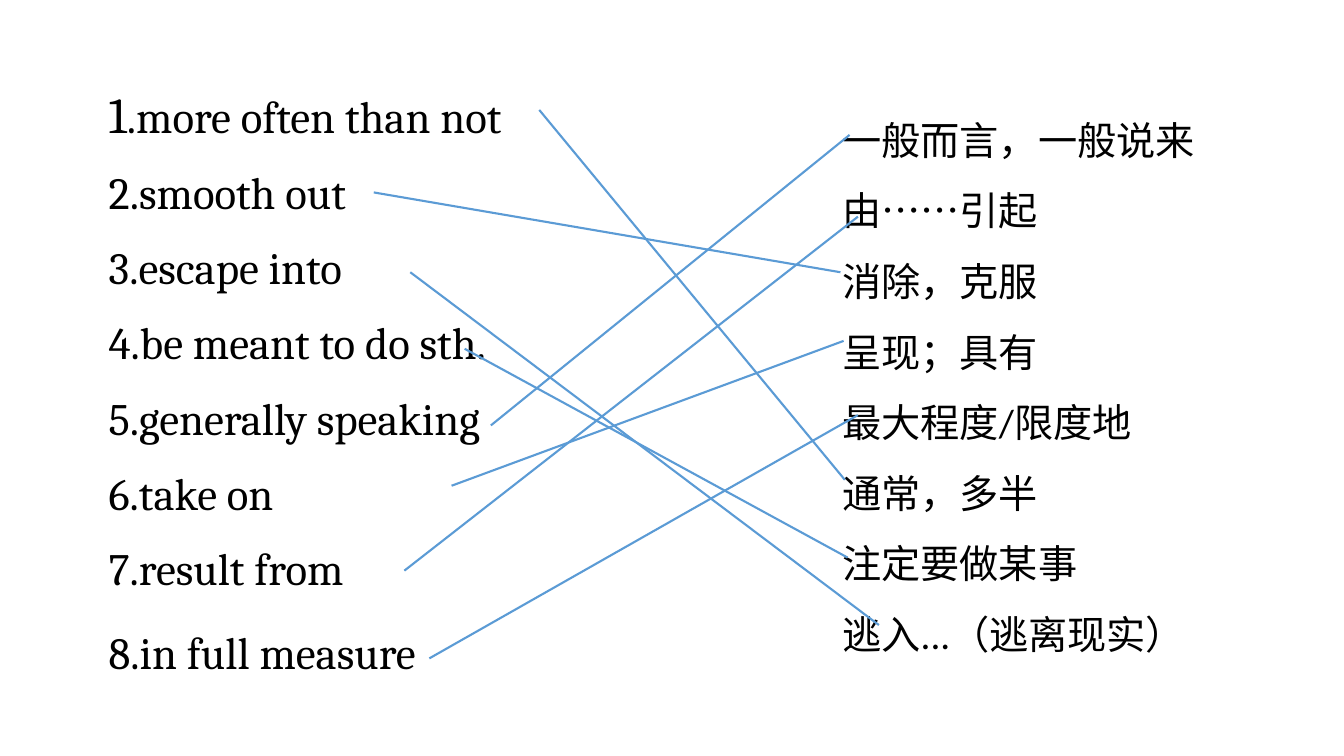
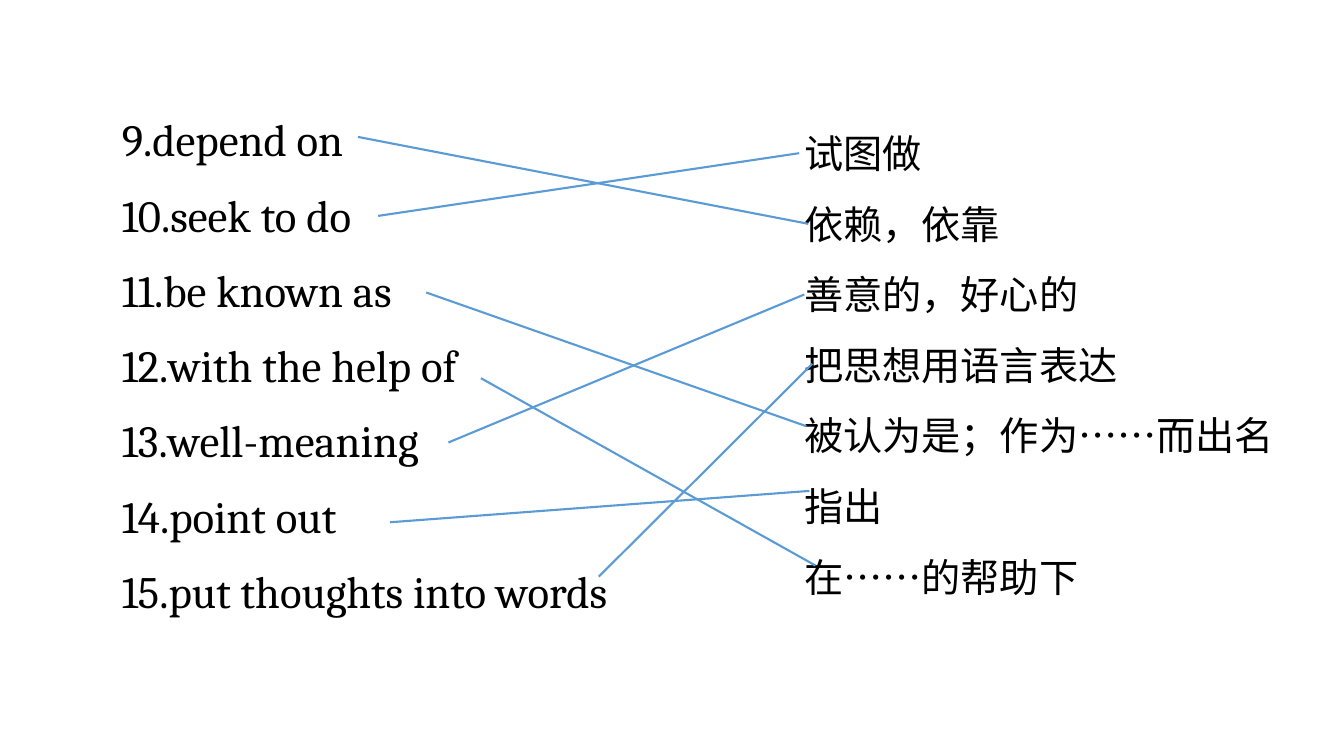
from dataclasses import dataclass

from lxml.etree import SubElement
from pptx import Presentation
from pptx.dml.color import RGBColor
from pptx.enum.lang import MSO_LANGUAGE_ID as Language
from pptx.enum.shapes import MSO_CONNECTOR as Connector
from pptx.oxml.ns import qn
from pptx.util import Cm, Pt


@dataclass(frozen=True)
class Theme:
    ink: RGBColor = RGBColor(0x00, 0x00, 0x00)
    link: RGBColor = RGBColor(0x5B, 0x9B, 0xD5)
    link_width: Pt = Pt(1.5)
    phrase_font: str = "Cambria"
    phrase_size: Pt = Pt(32)
    phrase_spacing: float = 1.4
    lead_size: Pt = Pt(36)
    meaning_font: str = "Calibri"
    meaning_size: Pt = Pt(28)
    meaning_spacing: float = 1.5


class MatchingDeck:
    def __init__(self, theme):
        self.theme = theme
        self.deck = Presentation()
        self.deck.slide_width, self.deck.slide_height = Cm(33.87), Cm(19.05)
        self.slide = None

    def new_slide(self):
        self.slide = self.deck.slides.add_slide(self.deck.slide_layouts[6])

    def column(self, area, lines, font, size, spacing):
        frame = self.slide.shapes.add_textbox(*map(Cm, area)).text_frame
        frame.word_wrap = True
        for index, line in enumerate(lines):
            entry = frame.paragraphs[0] if index == 0 else frame.add_paragraph()
            entry.line_spacing = spacing
            entry.font.name = font
            entry.font.size = size
            entry.font.color.rgb = self.theme.ink
            for part in line:
                entry.add_run().text = part
        return frame.paragraphs

    def phrases(self, area, phrases, first_number):
        theme = self.theme
        lines = [(str(number), f".{phrase}")
                 for number, phrase in enumerate(phrases, first_number)]
        return self.column(area, lines, theme.phrase_font,
                           theme.phrase_size, theme.phrase_spacing)

    def meanings(self, area, meanings):
        theme = self.theme
        entries = self.column(area, [(meaning,) for meaning in meanings],
                              theme.meaning_font, theme.meaning_size,
                              theme.meaning_spacing)
        for entry in entries:
            entry.runs[0].font.language_id = Language.SIMPLIFIED_CHINESE

    def link(self, start, end):
        line = self.slide.shapes.add_connector(
            Connector.STRAIGHT, *map(Cm, start + end))
        line.line.color.rgb = self.theme.link
        line.line.width = self.theme.link_width
        SubElement(line._element.spPr, qn("a:effectLst"))

    def matching(self, phrase_area, meaning_area, matches, meanings, first_number=1):
        self.new_slide()
        entries = self.phrases(phrase_area, [match[0] for match in matches],
                               first_number)
        self.meanings(meaning_area, meanings)
        for _, start, end in matches:
            self.link(start, end)
        return entries


FIRST_MATCHES = [
    ("more often than not", (13.59, 2.77), (21.29, 12.09)),
    ("smooth out", (9.42, 4.85), (21.18, 6.86)),
    ("escape into", (10.34, 6.86), (22.15, 15.75)),
    ("be meant to do sth.", (11.71, 8.79), (21.36, 14.05)),
    ("generally speaking", (12.37, 10.72), (21.41, 3.4)),
    ("take on", (11.38, 12.24), (21.26, 8.59)),
    ("result from", (10.19, 14.38), (21.62, 5.46)),
    ("in full measure", (10.82, 16.59), (21.62, 10.46)),
]
FIRST_MEANINGS = [
    "一般而言，一般说来",
    "由……引起",
    "消除，克服",
    "呈现；具有",
    "最大程度/限度地",
    "通常，多半",
    "注定要做某事",
    "逃入...（逃离现实）",
]
SECOND_MATCHES = [
    ("depend on", (9.02, 3.45), (20.37, 5.64)),
    ("seek to do", (9.53, 5.44), (20.14, 3.86)),
    ("be known as", (10.74, 7.37), (20.32, 10.74)),
    ("with the help of", (12.12, 9.53), (20.55, 14.25)),
    ("well-meaning", (11.3, 11.15), (20.27, 7.42)),
    ("point out", (9.83, 13.16), (20.4, 12.37)),
    ("put thoughts into words", (15.09, 14.53), (20.47, 9.17)),
]
SECOND_MEANINGS = [
    "试图做",
    "依赖，依靠",
    "善意的，好心的",
    "把思想用语言表达",
    "被认为是；作为……而出名",
    "指出",
    "在……的帮助下",
]


def main():
    lesson = MatchingDeck(Theme())
    entries = lesson.matching((2.49, 1.35, 13.11, 14.5), (20.98, 2.21, 9.42, 14.6),
                              FIRST_MATCHES, FIRST_MEANINGS)
    entries[0].runs[0].font.size = lesson.theme.lead_size
    entries[-1].space_before = Pt(6)
    lesson.matching((2.82, 2.16, 15.29, 14.5), (20.02, 2.54, 12.37, 12.83),
                    SECOND_MATCHES, SECOND_MEANINGS,
                    first_number=len(FIRST_MATCHES) + 1)
    lesson.deck.save("out.pptx")


if __name__ == "__main__":
    main()
